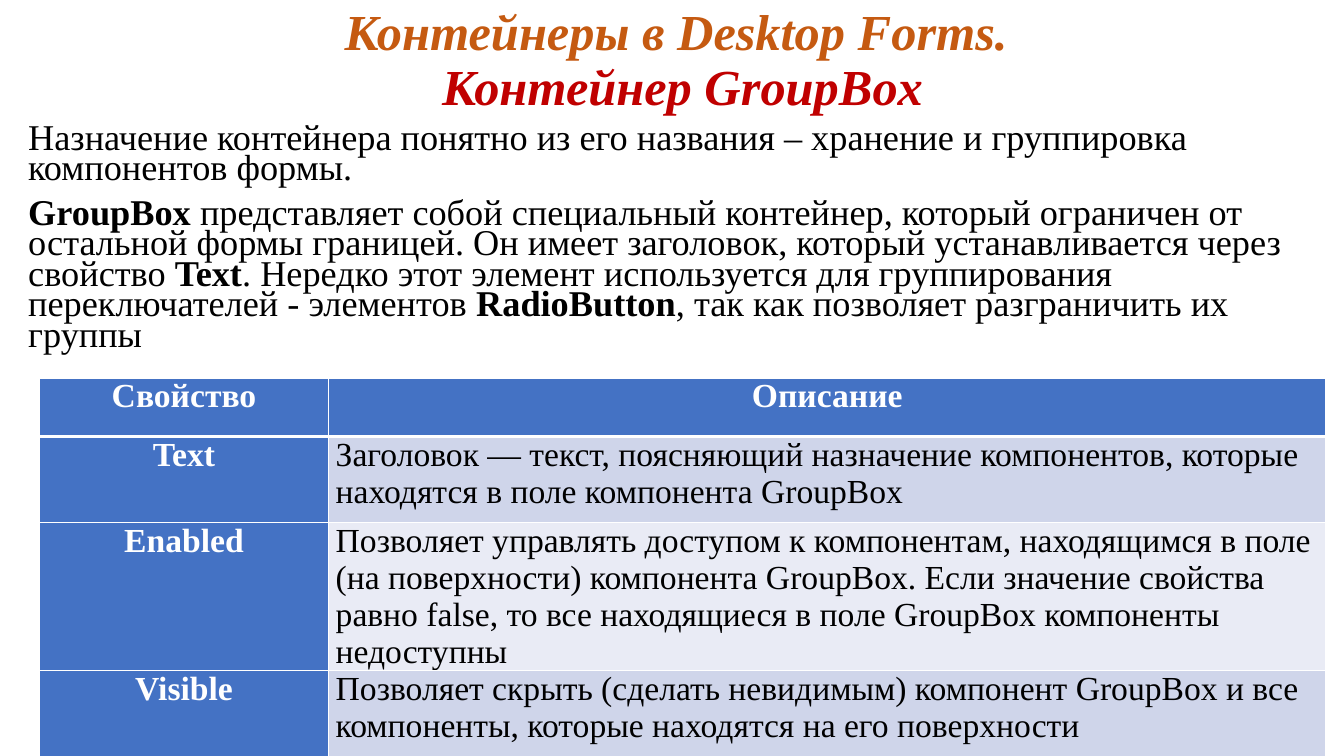
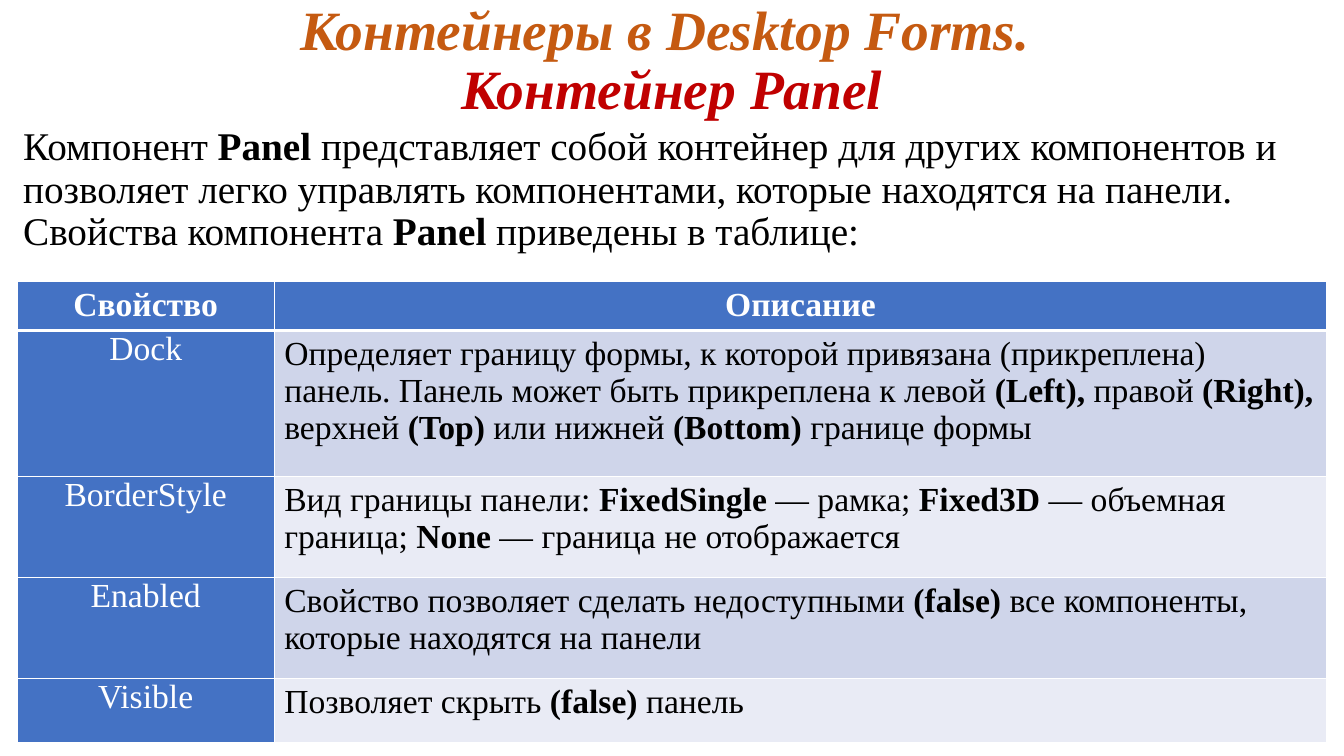
from dataclasses import dataclass

from lxml.etree import SubElement
from pptx import Presentation
from pptx.dml.color import RGBColor
from pptx.enum.text import MSO_ANCHOR as Anchor, MSO_AUTO_SIZE as AutoSize, PP_ALIGN as Align
from pptx.oxml.ns import qn
from pptx.util import Inches, Pt


@dataclass(frozen=True)
class Theme:
    font: str = "Times New Roman"
    topic: str = "C55A11"
    subject: str = "C00000"
    text: str = "000000"
    white: str = "FFFFFF"
    header: str = "4472C4"
    bands: tuple = ("CFD5EA", "E9EBF5")
    table_size: float = 24
    title_spacing: float = 0.9
    paragraph_gap: float = 10
    border: float = 1
    header_border: float = 3
    tight: tuple = (0.07, 0)
    roomy: tuple = (0.1, 0.05)


THEME = Theme()
TOPIC = "Контейнеры в Desktop Forms. "
HEADINGS = ("Свойство", "Описание")

GROUP_BOX_TEXT = [
    "Назначение контейнера понятно из его названия – хранение и группировка компонентов формы.",
    "**GroupBox** представляет собой специальный контейнер, который ограничен от остальной формы "
    "границей. Он имеет заголовок, который устанавливается через свойство **Text**. Нередко этот "
    "элемент используется для группирования переключателей - элементов **RadioButton**, так как "
    "позволяет разграничить их группы",
]
GROUP_BOX_ROWS = [
    HEADINGS,
    ("Text", "Заголовок — текст, поясняющий назначение компонентов, которые находятся в поле "
             "компонента GroupBox"),
    ("Enabled", "Позволяет управлять доступом к компонентам, находящимся в поле (на поверхности) "
                "компонента GroupBox. Если значение свойства равно false, то все находящиеся в поле "
                "GroupBox компоненты недоступны"),
    ("Visible", "Позволяет скрыть (сделать невидимым) компонент GroupBox и все компоненты, которые "
                "находятся на его поверхности"),
]
PANEL_TEXT = [
    "Компонент **Panel **представляет собой контейнер для других компонентов и позволяет легко "
    "управлять компонентами, которые находятся на панели. Свойства компонента **Panel **приведены "
    "в таблице:",
]
PANEL_ROWS = [
    HEADINGS,
    ("Dock", "Определяет границу формы, к которой привязана (прикреплена) панель. Панель может быть "
             "прикреплена к левой **(Left), **правой **(Right), **верхней **(Top) **или нижней "
             "**(Bottom) **границе формы"),
    ("BorderStyle", "Вид границы панели: **FixedSingle** — рамка; **Fixed3D** — объемная граница; "
                    "**None** — граница не отображается"),
    ("Enabled", "Свойство позволяет сделать недоступными **(false) **все компоненты, которые "
                "находятся на панели"),
    ("Visible", "Позволяет скрыть **(false) **панель"),
]


def style_span(span, size, color, bold=False, italic=False):
    font = span.font
    font.name, font.size = THEME.font, Pt(size)
    font.bold, font.italic = bold, italic
    font.color.rgb = RGBColor.from_string(color)


def write_marked(para, marked, size, color, bold=False):
    for index, part in enumerate(marked.split("**")):
        if part:
            span = para.add_run()
            span.text = part
            style_span(span, size, color, bold or index % 2 == 1)


def place(box, area):
    box.left, box.top, box.width, box.height = map(Inches, area)
    frame = box.text_frame
    frame.word_wrap = True
    frame.auto_size = AutoSize.NONE
    return frame


def add_title(page, subject, area, size):
    frame = place(page.shapes.title, area)
    frame.vertical_anchor = Anchor.MIDDLE
    frame.text = f"{TOPIC}\v{subject}"
    para = frame.paragraphs[0]
    para.alignment = Align.CENTER
    para.line_spacing = THEME.title_spacing
    for span, color in zip(para.runs, (THEME.topic, THEME.subject)):
        style_span(span, size, color, bold=True, italic=True)


def add_body(page, texts, area, size, line_spacing):
    frame = place(page.placeholders[1], area)
    frame.vertical_anchor = Anchor.TOP
    for index, marked in enumerate(texts):
        para = frame.add_paragraph() if index else frame.paragraphs[0]
        properties = para._p.get_or_add_pPr()
        properties.set("marL", "0")
        properties.set("indent", "0")
        SubElement(properties, qn("a:buNone"))
        para.alignment = Align.LEFT
        para.line_spacing = line_spacing
        para.space_before = Pt(THEME.paragraph_gap if index else 0)
        write_marked(para, marked, size, THEME.text)


def add_borders(cell, top, bottom):
    properties = cell._tc.get_or_add_tcPr()
    widths = {"lnL": THEME.border, "lnR": THEME.border, "lnT": top, "lnB": bottom}
    for tag, width in widths.items():
        line = SubElement(properties, qn(f"a:{tag}"), w=str(Pt(width)))
        fill = SubElement(line, qn("a:solidFill"))
        SubElement(fill, qn("a:srgbClr"), val=THEME.white)


def fill_cell(cell, marked, row, column, padding, bold_names):
    is_header, is_name = row == 0, column == 0
    is_heading = is_header or is_name
    add_borders(cell,
                THEME.header_border if row == 1 else THEME.border,
                THEME.header_border if is_header else THEME.border)
    cell.fill.solid()
    band = THEME.bands[(row - 1) % len(THEME.bands)]
    cell.fill.fore_color.rgb = RGBColor.from_string(THEME.header if is_heading else band)
    side, edge = map(Inches, THEME.tight if is_name and not is_header else padding)
    cell.margin_left = cell.margin_right = side
    cell.margin_top = cell.margin_bottom = edge
    para = cell.text_frame.paragraphs[0]
    para.alignment = Align.CENTER if is_heading else Align.LEFT
    write_marked(para, marked, THEME.table_size,
                 THEME.white if is_heading else THEME.text,
                 is_header or is_name and bold_names)


def add_property_table(page, rows, corner, widths, heights, padding, bold_names):
    area = (*corner, sum(widths), sum(heights))
    table = page.shapes.add_table(len(rows), len(widths), *map(Inches, area)).table
    table.horz_banding = False
    for column, width in zip(table.columns, widths):
        column.width = Inches(width)
    for row, height in zip(table.rows, heights):
        row.height = Inches(height)
    for row, texts in enumerate(rows):
        for column, marked in enumerate(texts):
            fill_cell(table.cell(row, column), marked, row, column, padding, bold_names)
    return table


def main():
    deck = Presentation()
    deck.slide_width, deck.slide_height = Inches(13.33), Inches(7.5)
    layout = deck.slide_layouts[1]

    page = deck.slides.add_slide(layout)
    add_title(page, "Контейнер GroupBox", (1.02, 0.02, 11.5, 1.18), 36)
    add_body(page, GROUP_BOX_TEXT, (0.18, 1.2, 13, 2.55), 25.9, 0.7)
    add_property_table(page, GROUP_BOX_ROWS, (0.39, 3.75), (2.87, 9.89),
                       (0.58, 0.85, 1.31, 0.98), THEME.tight, bold_names=True)

    page = deck.slides.add_slide(layout)
    add_title(page, "Контейнер Panel", (0, 0.02, 13.33, 1.19), 39.6)
    add_body(page, PANEL_TEXT, (0.13, 1.21, 13.03, 2.11), 28, 0.9)
    table = add_property_table(page, PANEL_ROWS, (0.17, 2.79), (2.55, 10.44),
                               (0.49, 1.45, 1, 1, 0.64), THEME.roomy, bold_names=False)
    table.cell(len(PANEL_ROWS) - 1, 1).text_frame.paragraphs[0].alignment = Align.JUSTIFY

    deck.save("out.pptx")


if __name__ == "__main__":
    main()
